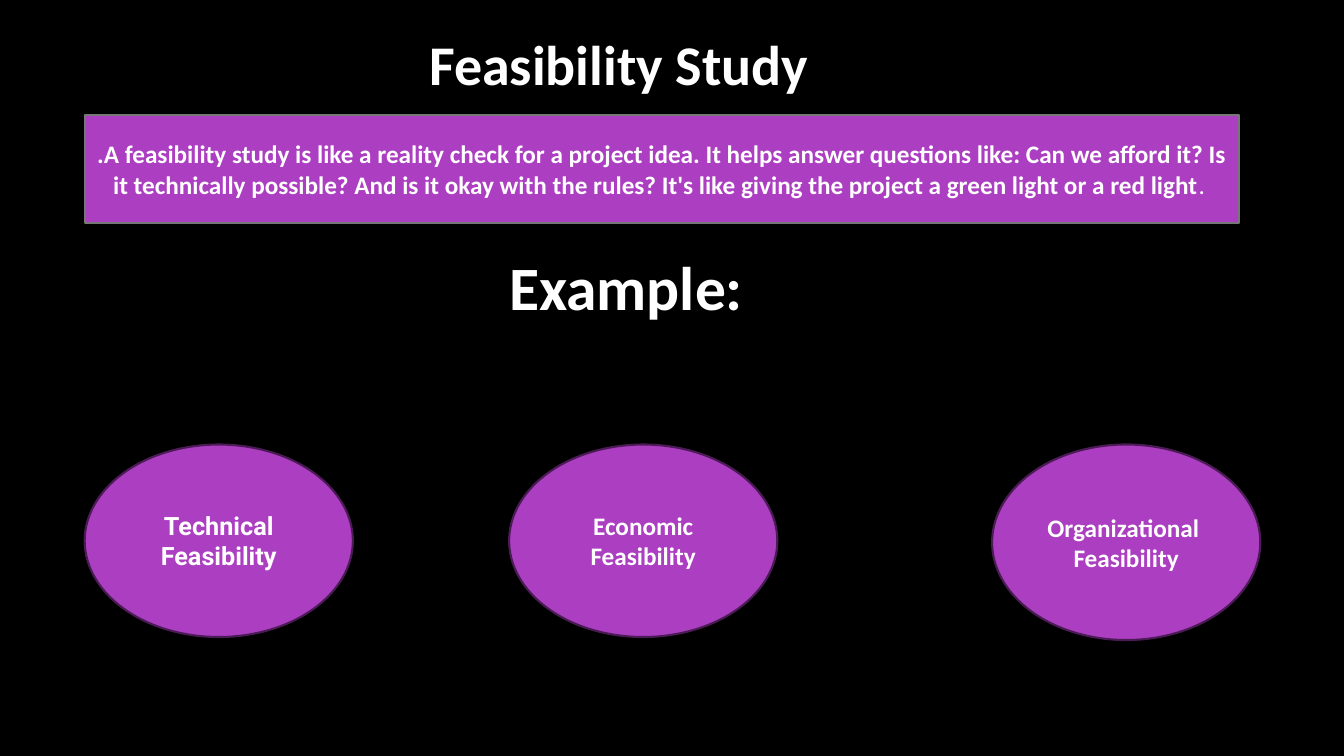
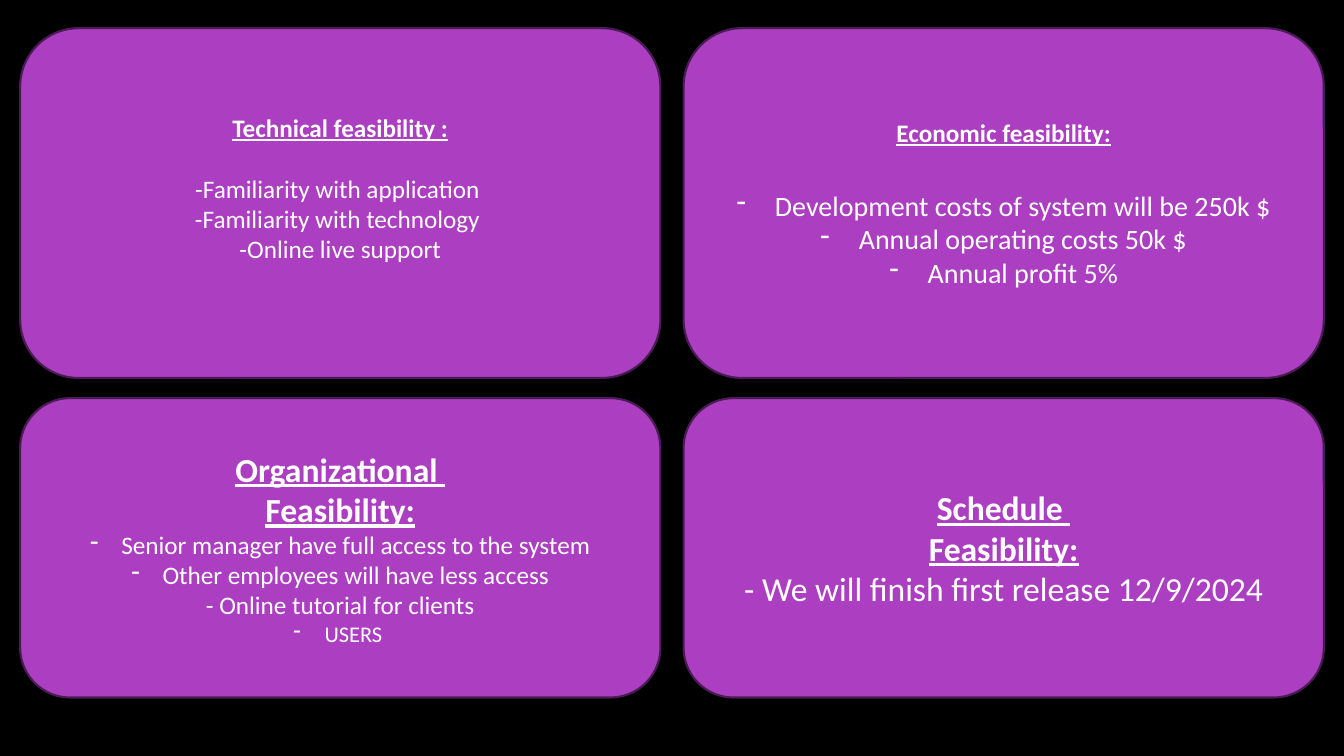
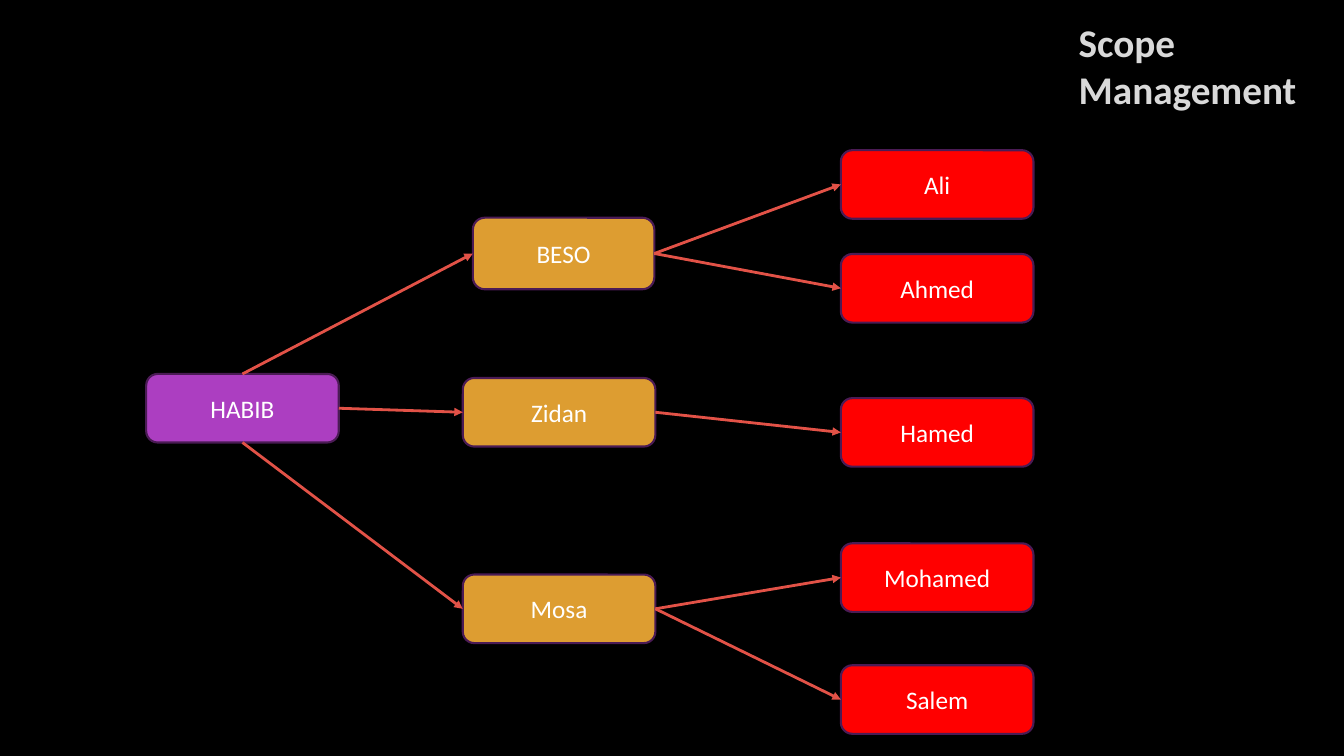
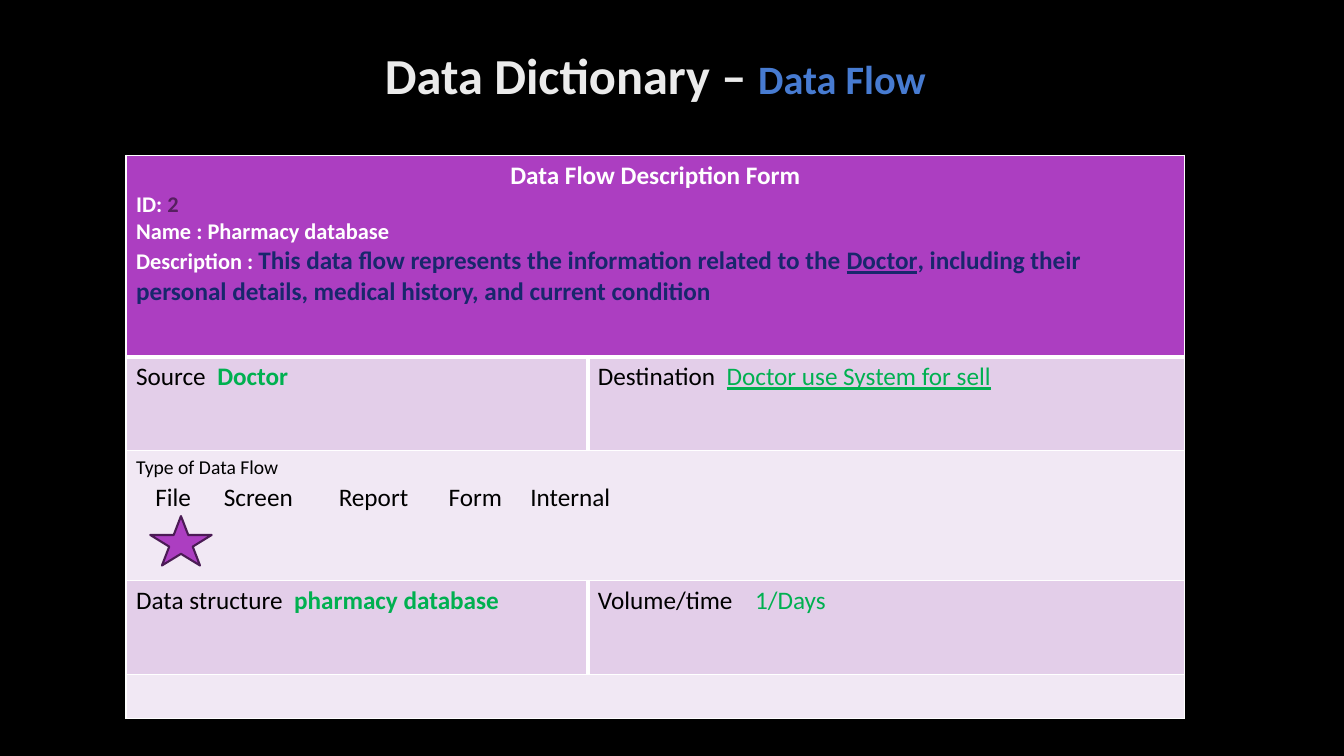
from dataclasses import dataclass
from typing import Optional

from lxml.etree import SubElement
from pptx import Presentation
from pptx.dml.color import RGBColor
from pptx.enum.shapes import MSO_CONNECTOR as Connector, MSO_SHAPE as Preset
from pptx.enum.text import MSO_ANCHOR as Anchor, PP_ALIGN as Align
from pptx.oxml.ns import qn
from pptx.util import Inches, Pt

BLACK, WHITE = "000000", "FFFFFF"
PURPLE, PLUM, GREY = "AC3EC1", "4B1B55", "767676"
AMBER, RED, CORAL = "DD9D31", "FF0000", "E25247"
GREEN, NAVY = "00B050", "18276C"
LILAC, PALE = "E3CEE9", "F1E8F4"
TOP, LEFT, BOTTOM, RIGHT = range(4)


@dataclass(frozen=True)
class Span:
    text: str
    size: float = 18
    color: str = WHITE
    bold: bool = False
    underline: bool = False
    name: str = "Calibri"


@dataclass(frozen=True)
class Para:
    spans: tuple[Span, ...]
    align: Align = Align.CENTER
    before: float = 0
    dash_indent: float = 0
    tabs: tuple[float, ...] = ()


@dataclass(frozen=True)
class Area:
    left: float
    top: float
    width: float
    height: float

    def lengths(self) -> tuple:
        return tuple(Inches(v) for v in (self.left, self.top, self.width, self.height))


@dataclass(frozen=True)
class Node:
    label: str
    area: Area
    color: str


@dataclass(frozen=True)
class Link:
    start: str
    start_side: int
    end: str


def rgb(color: str) -> RGBColor:
    return RGBColor.from_string(color)


def line(text: str, align: Align = Align.CENTER, before: float = 0,
         dash_indent: float = 0, **style) -> Para:
    return Para((Span(text, **style),), align, before, dash_indent)


def heading(text: str, size: float = 18) -> Para:
    return line(text, size=size, bold=True, underline=True)


def write(frame, paras: list[Para]) -> None:
    frame.word_wrap = True
    for index, para in enumerate(paras):
        target = frame.paragraphs[0] if index == 0 else frame.add_paragraph()
        properties = target._p.get_or_add_pPr()
        if para.dash_indent:
            indent = Inches(para.dash_indent)
            properties.set("marL", str(indent))
            properties.set("indent", str(-indent))
            SubElement(properties, qn("a:buChar"), char="-")
        if para.tabs:
            stops = SubElement(properties, qn("a:tabLst"))
            for position in para.tabs:
                SubElement(stops, qn("a:tab"), pos=str(Inches(position)), algn="l")
        target.alignment = para.align
        if para.before:
            target.space_before = Pt(para.before)
        for span in para.spans:
            run = target.add_run()
            run.text = span.text
            formats = {"name": span.name, "size": Pt(span.size),
                       "bold": span.bold, "underline": span.underline}
            for key, value in formats.items():
                setattr(run.font, key, value)
            run.font.color.rgb = rgb(span.color)


def add_page(deck):
    page = deck.slides.add_slide(deck.slide_layouts[6])
    page.background.fill.solid()
    page.background.fill.fore_color.rgb = rgb(BLACK)
    return page


def add_text(page, area: Area, paras: list[Para]) -> None:
    write(page.shapes.add_textbox(*area.lengths()).text_frame, paras)


def add_box(page, preset: Preset, area: Area, paras: Optional[list[Para]] = None,
            fill: str = PURPLE, outline: str = PLUM):
    box = page.shapes.add_shape(preset, *area.lengths())
    box.shadow.inherit = False
    box.fill.solid()
    box.fill.fore_color.rgb = rgb(fill)
    box.line.color.rgb = rgb(outline)
    box.line.width = Pt(1.5)
    box.text_frame.vertical_anchor = Anchor.MIDDLE
    write(box.text_frame, paras or [])
    return box


def add_arrow(page, start, start_side: int, end) -> None:
    arrow = page.shapes.add_connector(Connector.STRAIGHT, 0, 0, 0, 0)
    arrow.begin_connect(start, start_side)
    arrow.end_connect(end, LEFT)
    arrow.line.color.rgb = rgb(CORAL)
    arrow.line.width = Pt(2)
    SubElement(arrow.line._get_or_add_ln(), qn("a:tailEnd"), type="triangle")
    SubElement(arrow._element.spPr, qn("a:effectLst"))


def style_cell(cell, fill: str, widths: dict[str, float]) -> None:
    properties = cell._tc.get_or_add_tcPr()
    for side in ("L", "R", "T", "B"):
        edge = SubElement(properties, qn(f"a:ln{side}"), w=str(Pt(widths.get(side, 1))))
        SubElement(SubElement(edge, qn("a:solidFill")), qn("a:srgbClr"), val=WHITE)
    cell.fill.solid()
    cell.fill.fore_color.rgb = rgb(fill)


def build_feasibility_study(deck) -> None:
    page = add_page(deck)
    add_text(page, Area(4.16, 0.24, 8.13, 0.77),
             [line("Feasibility Study", Align.LEFT, size=40, bold=True)])
    definition = Span(
        ".A feasibility study is like a reality check for a project idea. "
        "It helps answer questions like: Can we afford it? Is it technically possible? "
        "And is it okay with the rules? It's like giving the project a green light "
        "or a red light", bold=True)
    add_box(page, Preset.RECTANGLE, Area(0.84, 1.14, 11.45, 1.07),
            [Para((definition, Span(". ")))], outline=GREY)
    add_text(page, Area(4.95, 2.42, 2.99, 0.84),
             [line("Example:", Align.LEFT, size=44, bold=True)])
    examples = (
        (0.84, 1.91, "Roboto", ("Technical Feasibility",)),
        (5.05, 1.91, "Calibri", ("Economic", "Feasibility")),
        (9.84, 1.94, "Calibri", ("Organizational ", "Feasibility")),
    )
    for left, height, font, labels in examples:
        add_box(page, Preset.OVAL, Area(left, 4.41, 2.66, height),
                [line(label, bold=True, name=font) for label in labels])


def build_feasibility_details(deck) -> None:
    page = add_page(deck)
    columns, rows = (0.2, 6.78), ((0.28, 3.47), (3.95, 2.97))
    cards = (
        [heading("Technical feasibility :"),
         line("-Familiarity with application ", before=22),
         line("-Familiarity with technology "),
         line("-Online live support")],
        [heading("Economic feasibility:"),
         line("Development costs of system will be 250k $", before=29,
              dash_indent=0.38, size=20),
         line("Annual operating costs 50k $", dash_indent=0.38, size=20),
         line("Annual profit 5%", dash_indent=0.38, size=20)],
        [heading("Organizational ", 24),
         heading("Feasibility:", 24),
         line("Senior manager have full access to the system", dash_indent=0.31),
         line("Other employees will have less access", dash_indent=0.31),
         line("- Online tutorial for clients"),
         line("USERS ", dash_indent=0.31, size=16)],
        [heading("Schedule ", 24),
         heading("Feasibility:", 24),
         line("- We will finish first release 12/9/2024", size=24)],
    )
    boxes = []
    for index, paras in enumerate(cards):
        top, height = rows[index // 2]
        area = Area(columns[index % 2], top, 6.35, height)
        boxes.append(add_box(page, Preset.ROUNDED_RECTANGLE, area, paras))
    boxes[0].text_frame.margin_bottom = Inches(0.35)


def build_scope_management(deck) -> None:
    page = add_page(deck)
    add_text(page, Area(10.6, 0.13, 2.58, 1.04),
             [line(word, Align.LEFT, size=28, color="D9D9D9", bold=True)
              for word in ("Scope", "Management")])
    members = (("Ali", 1.49), ("Ahmed", 2.52), ("Hamed", 3.95),
               ("Mohamed", 5.39), ("Salem", 6.6))
    nodes = [
        Node("HABIB", Area(1.45, 3.71, 1.91, 0.68), PURPLE),
        Node("BESO", Area(4.69, 2.16, 1.8, 0.71), AMBER),
        Node("Zidan", Area(4.59, 3.75, 1.91, 0.68), AMBER),
        Node("Mosa", Area(4.59, 5.7, 1.91, 0.68), AMBER),
        *(Node(name, Area(8.34, top, 1.91, 0.68), RED) for name, top in members),
    ]
    boxes = {node.label: add_box(page, Preset.ROUNDED_RECTANGLE, node.area,
                                 [line(node.label)], node.color) for node in nodes}
    links = (
        Link("HABIB", TOP, "BESO"),
        Link("HABIB", RIGHT, "Zidan"),
        Link("HABIB", BOTTOM, "Mosa"),
        Link("BESO", RIGHT, "Ali"),
        Link("BESO", RIGHT, "Ahmed"),
        Link("Zidan", RIGHT, "Hamed"),
        Link("Mosa", RIGHT, "Mohamed"),
        Link("Mosa", RIGHT, "Salem"),
    )
    for link in links:
        add_arrow(page, boxes[link.start], link.start_side, boxes[link.end])


def field(label: str, value: str, **style) -> list[Para]:
    return [Para((Span(label, color=BLACK), Span(value, color=GREEN, **style)), Align.LEFT)]


def build_data_dictionary(deck) -> None:
    page = add_page(deck)
    add_text(page, Area(1.25, 0.39, 10.5, 1.15), [Para((
        Span("Data Dictionary – ", 36, "EBEBEB", True),
        Span("Data Flow", 28.8, "477BD1", True)))])

    form = [
        line("Data Flow Description Form", bold=True),
        Para((Span("ID: ", 16, bold=True), Span("2", 16, "561F60", True)), Align.LEFT),
        line("Name : Pharmacy database", Align.LEFT, size=16, bold=True),
        Para((Span("Description : ", 16, bold=True),
              Span("This data flow represents the information related to the ",
                   color=NAVY, bold=True),
              Span("Doctor", color=NAVY, bold=True, underline=True),
              Span(", including their personal details, medical history, "
                   "and current condition", color=NAVY, bold=True)), Align.LEFT),
    ]
    flow_types = [
        line("Type of Data Flow", Align.LEFT, size=14, color=BLACK),
        Para((Span("\tFile\tScreen\tReport\tForm\tInternal", color=BLACK),),
             Align.LEFT, before=2, tabs=(0.19, 0.87, 2.01, 3.1, 3.91)),
    ]
    volume = Para((Span("Volume/time\t", color=BLACK), Span("1/Days", color=GREEN)),
                  Align.LEFT, tabs=(1.56,))
    rows = (
        (2, PURPLE, [form]),
        (0.93, LILAC, [field("Source  ", "Doctor", bold=True),
                       field("Destination  ", "Doctor use System for sell", underline=True)]),
        (1.29, PALE, [flow_types]),
        (0.93, LILAC, [field("Data structure  ", "pharmacy database", bold=True), [volume]]),
        (0.44, PALE, [[]]),
    )
    area = Area(1.25, 1.54, 10.5, sum(height for height, _, _ in rows))
    table = page.shapes.add_table(len(rows), 2, *area.lengths()).table
    table.first_row = table.horz_banding = False
    for column, width in zip(table.columns, (4.58, 5.92)):
        column.width = Inches(width)
    for index, (height, fill, contents) in enumerate(rows):
        table.rows[index].height = Inches(height)
        merged = len(contents) == 1
        for column, inner_side in enumerate("RL"):
            widths = {"B": 3} if index == 0 else {"T": 3} if index == 1 else {}
            if not merged:
                widths[inner_side] = 3
            style_cell(table.cell(index, column), fill, widths)
        if merged:
            table.cell(index, 0).merge(table.cell(index, 1))
        for column, paras in enumerate(contents):
            write(table.cell(index, column).text_frame, paras)
    add_box(page, Preset.STAR_5_POINT, Area(1.49, 5.12, 0.61, 0.49))


def main() -> None:
    deck = Presentation()
    deck.slide_width, deck.slide_height = Inches(13.33), Inches(7.5)
    for build in (build_feasibility_study, build_feasibility_details,
                  build_scope_management, build_data_dictionary):
        build(deck)
    deck.save("out.pptx")


if __name__ == "__main__":
    main()
